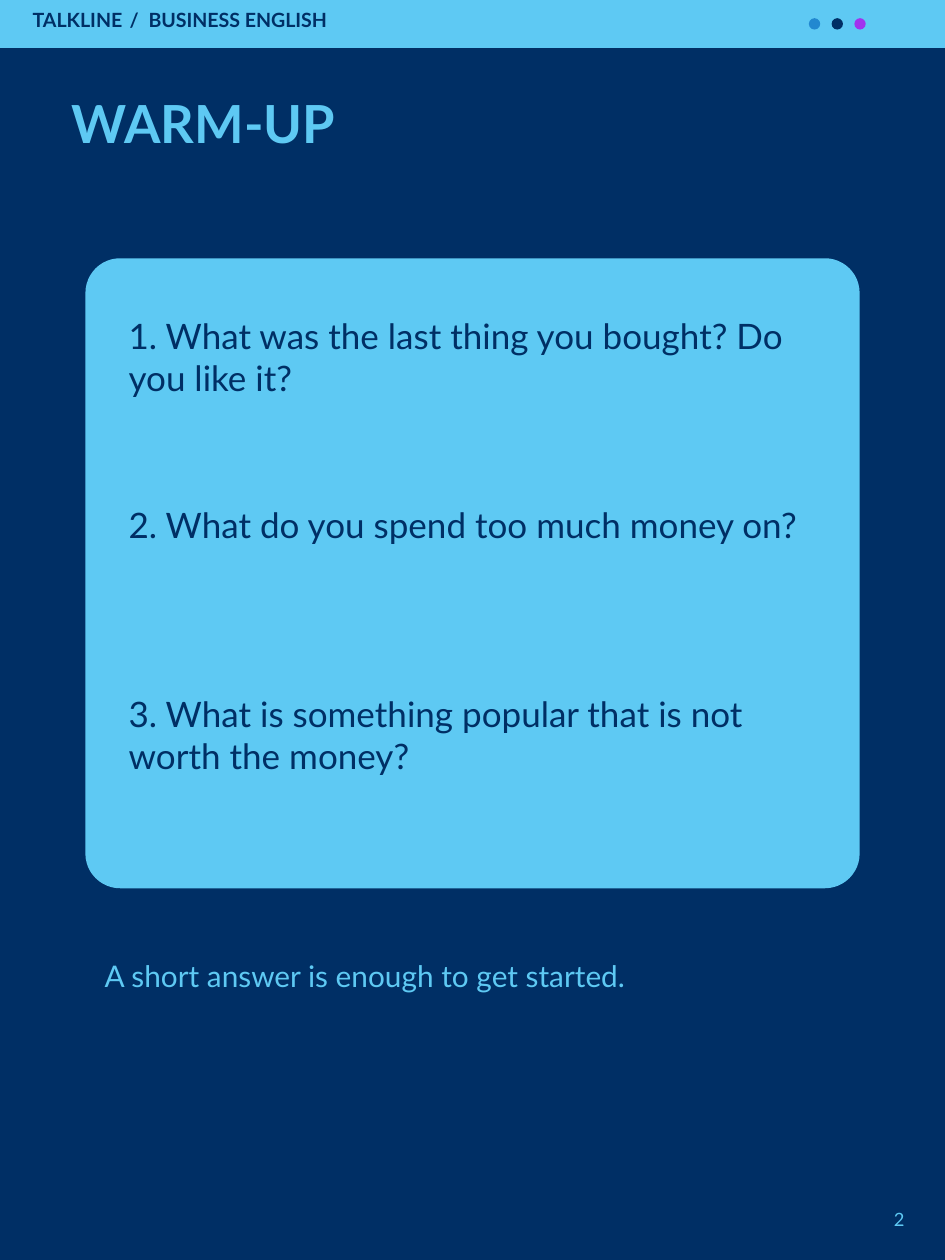
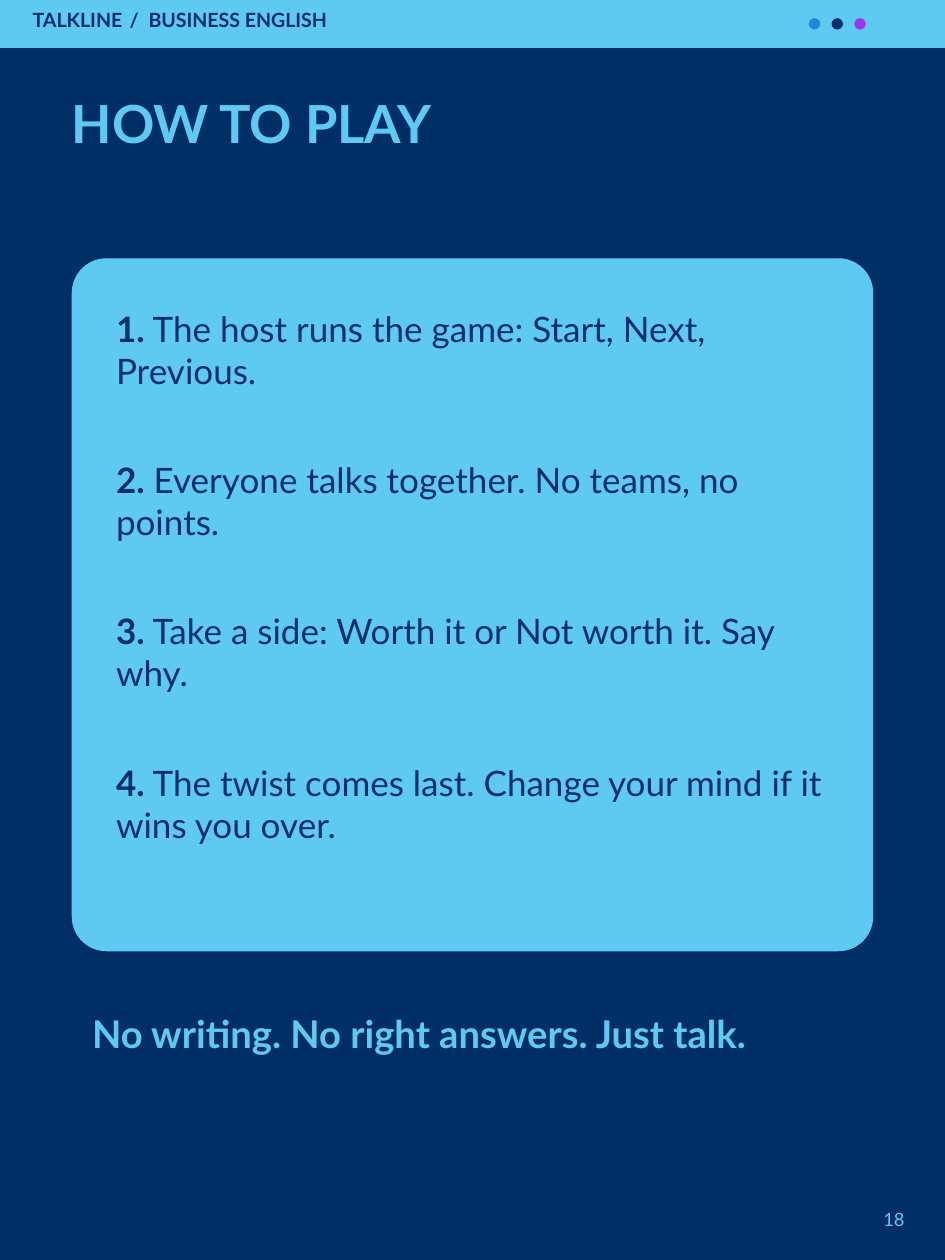
"""Builds the warm-up and rules pages of a business English lesson."""
import pptx
import pptx.util
import pptx.dml.color
import pptx.enum.shapes
import pptx.enum.text

Pt = pptx.util.Pt
RGBColor = pptx.dml.color.RGBColor
Shape = pptx.enum.shapes.MSO_SHAPE
Align = pptx.enum.text.PP_ALIGN

NAVY = RGBColor(0x00, 0x2F, 0x65)
SKY = RGBColor(0x5E, 0xC9, 0xF3)
BLUE = RGBColor(0x22, 0x88, 0xD0)
VIOLET = RGBColor(0xA1, 0x33, 0xEE)

FONT = "Lato"
PAGE_WIDTH, PAGE_HEIGHT = 540, 720
CARD_TOP = 147.6
CARD_RADIUS = 19.8
DOT_SIZE, DOT_STEP = 6.5, 13

HEADER = {"size": Pt(11.2), "bold": True, "color": NAVY, "leading": Pt(13.5)}
NUMBER = {"size": Pt(10.5), "bold": False, "color": SKY, "leading": Pt(12.6)}
TITLE = {"size": Pt(30), "bold": True, "color": SKY, "leading": Pt(36)}
ITEM = {"size": Pt(20), "bold": False, "color": NAVY, "leading": Pt(24)}
HINT = {"size": Pt(17), "bold": False, "color": SKY, "leading": Pt(20.4)}
SLOGAN = {"size": Pt(21.8), "bold": True, "color": SKY, "leading": Pt(26.1)}


def add_block(page, kind, place, color):
    """Add a plain filled shape without line or shadow."""
    block = page.shapes.add_shape(kind, *map(Pt, place))
    block.shadow.inherit = False
    block.fill.solid()
    block.fill.fore_color.rgb = color
    block.line.fill.background()
    return block


def add_text(page, place, pieces, style, align=Align.LEFT):
    """Add a text box of (text, overrides) pieces and return its spans."""
    frame = page.shapes.add_textbox(*map(Pt, place)).text_frame
    frame_format = {"word_wrap": True, "margin_left": 0, "margin_top": 0,
                    "margin_right": 0, "margin_bottom": 0,
                    "auto_size": pptx.enum.text.MSO_AUTO_SIZE.SHAPE_TO_FIT_TEXT}
    for name, value in frame_format.items():
        setattr(frame, name, value)
    para = frame.paragraphs[0]
    para.alignment = align
    para.line_spacing = style["leading"]
    spans = []
    for text, overrides in pieces:
        span = para.add_run()
        span.text = text
        font_format = {"name": FONT, "size": style["size"], "bold": style["bold"]}
        for name, value in (font_format | overrides).items():
            setattr(span.font, name, value)
        span.font.color.rgb = style["color"]
        spans.append(span)
    return spans


def add_header(page):
    """Add the top band with the course name and three dots."""
    add_block(page, Shape.RECTANGLE, (0, 0, PAGE_WIDTH, 27.4), SKY)
    pieces = [(text, {}) for text in ("TALKLINE", " / ", "BUSINESS ENGLISH")]
    spans = add_text(page, (18.7, 4.3, 424.8, 18), pieces, HEADER)
    spans[1].font._element.set("spc", "144")
    for index, color in enumerate((BLUE, NAVY, VIOLET)):
        place = (462.2 + index * DOT_STEP, 10.4, DOT_SIZE, DOT_SIZE)
        add_block(page, Shape.OVAL, place, color)


def add_page(deck, title, number):
    """Add a navy page with header, page number and title."""
    page = deck.slides.add_slide(deck.slide_layouts[6])
    page.background.fill.solid()
    page.background.fill.fore_color.rgb = NAVY
    add_header(page)
    add_text(page, (491, 690.5, 25.9, 17.3), [(str(number), {})], NUMBER, Align.RIGHT)
    add_text(page, (41, 51.8, 457.2, 64.8), [(title, {})], TITLE)
    return page


def add_card(page, left, height):
    """Add a rounded card centred between equal side margins."""
    width = PAGE_WIDTH - 2 * left
    card = add_block(page, Shape.ROUNDED_RECTANGLE, (left, CARD_TOP, width, height), SKY)
    card.adjustments[0] = CARD_RADIUS / min(width, height)


def add_items(page, items, first_place, step, number_format):
    """Add numbered items at an equal vertical step."""
    left, top, width, height = first_place
    for index, item in enumerate(items):
        pieces = [(f"{index + 1}.", number_format), (f" {item}", {})]
        add_text(page, (left, top + index * step, width, height), pieces, ITEM)


def add_warm_up(deck):
    """Add the page of opening questions."""
    page = add_page(deck, "WARM-UP", 2)
    add_card(page, 48.8, 360)
    questions = ("What was the last thing you bought? Do you like it?",
                 "What do you spend too much money on?",
                 "What is something popular that is not worth the money?")
    add_items(page, questions, (73.5, 180, 396, 86.4), 108, {})
    add_text(page, (59.8, 547.2, 419.8, 43.2),
             [("A short answer is enough to get started.", {})], HINT)


def add_rules(deck):
    """Add the page of game rules."""
    page = add_page(deck, "HOW TO PLAY", 18)
    add_card(page, 41, 396)
    rules = ("The host runs the game: Start, Next, Previous.",
             "Everyone talks together. No teams, no points.",
             "Take a side: Worth it or Not worth it. Say why.",
             "The twist comes last. Change your mind if it wins you over.")
    add_items(page, rules, (66.3, 175.7, 414, 75.6), 86.4, {"bold": True})
    add_text(page, (52.6, 577.4, 434.9, 59.8),
             [("No writing. No right answers. Just talk.", {})], SLOGAN)


def main():
    """Build and save the deck."""
    deck = pptx.Presentation()
    deck.slide_width, deck.slide_height = Pt(PAGE_WIDTH), Pt(PAGE_HEIGHT)
    add_warm_up(deck)
    add_rules(deck)
    deck.save("out.pptx")


if __name__ == "__main__":
    main()
